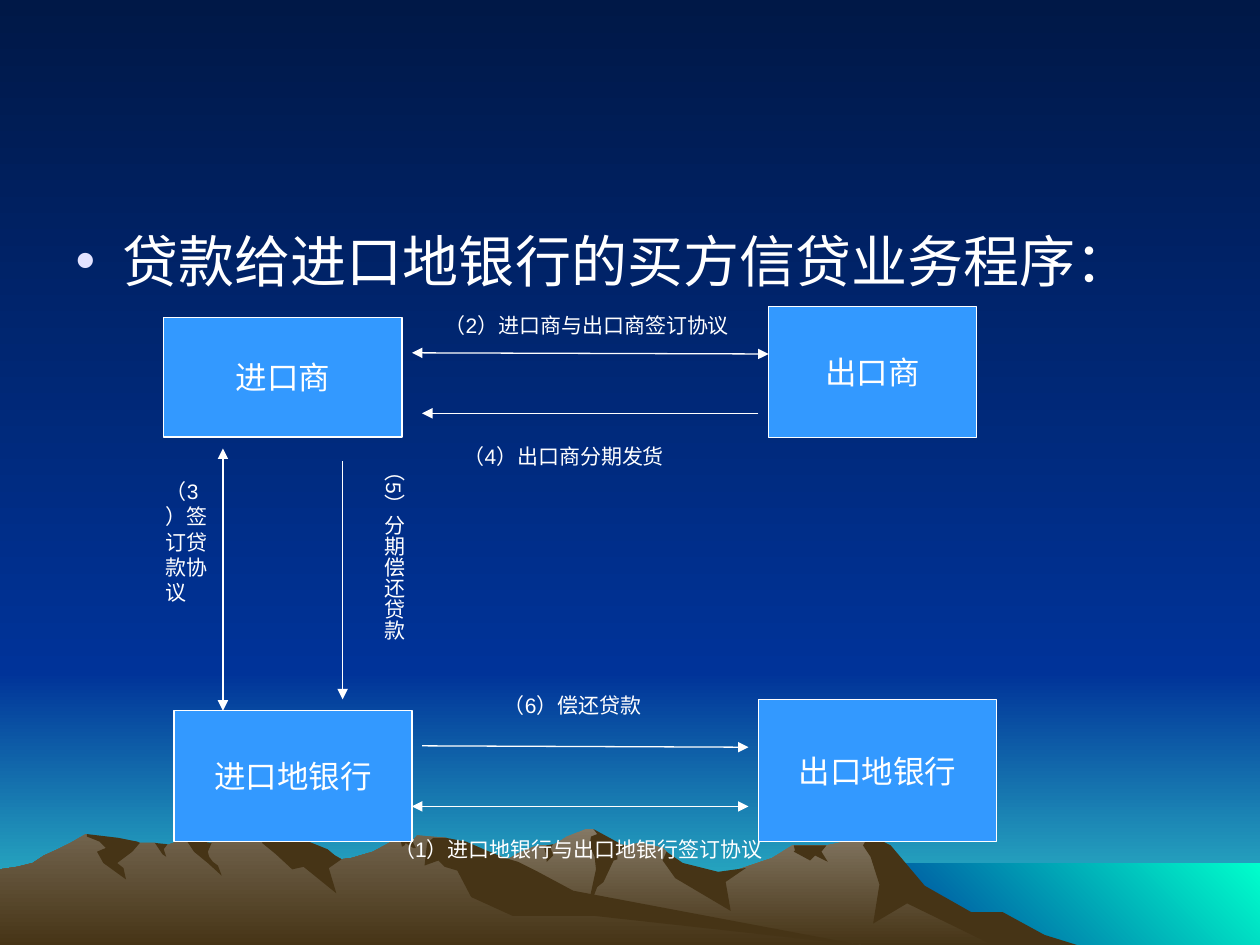
from lxml.etree import SubElement
from pptx import Presentation
from pptx.dml.color import RGBColor
from pptx.enum.shapes import MSO_CONNECTOR as Connector, MSO_SHAPE as Preset
from pptx.enum.text import MSO_ANCHOR as Anchor, MSO_AUTO_SIZE as AutoSize, PP_ALIGN as Align
from pptx.oxml.ns import qn
from pptx.util import Pt

WHITE = RGBColor(0xFF, 0xFF, 0xFF)
BOX_BLUE = RGBColor(0x33, 0x99, 0xFF)
BULLET = RGBColor(0xE3, 0xE3, 0xFF)
NIGHT = RGBColor(0x00, 0x18, 0x47)
SKY = RGBColor(0x00, 0x33, 0x99)
HORIZON = RGBColor(0x33, 0xCC, 0xCC)
SEA = RGBColor(0x00, 0xFF, 0xCC)
LIGHT_ROCK = RGBColor(0x84, 0x78, 0x64)
MID_ROCK = RGBColor(0x73, 0x65, 0x4F)
DARK_ROCK = RGBColor(0x46, 0x34, 0x16)

DOWN, UP_RIGHT = 270, 45
GRID = Pt(0.72)

BACKDROPS = [
    ((0, 384, 720, 156), (SKY, HORIZON), DOWN),
    ((0, 0, 720, 384), (NIGHT, SKY), DOWN),
    ((491.8, 493.2, 228.2, 48.2), (SKY, SEA), UP_RIGHT),
]

RIGHT_RIDGE = [
    (802, 740), (778, 727), (764, 723), (723, 698), (702, 671), (685, 660), (676, 667), (656, 671),
    (629, 671), (613, 681), (566, 697), (536, 690), (529, 676), (526, 673), (509, 669), (497, 671),
    (486, 673), (474, 661), (471, 658), (465, 658), (450, 664), (444, 668), (438, 671), (430, 671),
    (424, 672), (412, 677), (405, 681), (394, 685), (355, 698), (327, 709), (277, 739), (258, 751),
    (821, 751),
]
LEFT_RIDGE = [
    (690, 751), (667, 748), (432, 712), (354, 665), (331, 663), (327, 668), (323, 668), (318, 664),
    (296, 676), (279, 681), (271, 682), (260, 676), (236, 681), (223, 663), (219, 660), (212, 658),
    (197, 658), (191, 662), (178, 666), (160, 671), (148, 667), (143, 667), (132, 671), (128, 671),
    (123, 669), (111, 669), (94, 671), (68, 662), (56, 669), (46, 674), (35, 679), (26, 685),
    (14, 688), (0, 690), (0, 751),
]
RIGHT_SHADOWS = [
    [(796, 724), (771, 724), (734, 703), (707, 671), (685, 660), (689, 664), (685, 671), (691, 680),
     (698, 702), (693, 733), (720, 717), (792, 752), (858, 751), (829, 742)],
    [(471, 658), (474, 662), (469, 664), (468, 671), (472, 680), (473, 690), (465, 727), (474, 704),
     (479, 700), (487, 683), (490, 682), (490, 676), (497, 671), (493, 670)],
    [(529, 676), (526, 683), (536, 697), (580, 723), (576, 700), (592, 689), (570, 692), (542, 685)],
    [(650, 671), (630, 671), (631, 675), (630, 676), (643, 683), (647, 679), (657, 684), (652, 676),
     (656, 671)],
    [(433, 677), (432, 673), (434, 671), (439, 670), (437, 673), (439, 679), (434, 684)],
]
LEFT_SHADOWS = [
    [(212, 663), (208, 669), (219, 678), (232, 690), (241, 688), (267, 709), (261, 689), (271, 682),
     (266, 679), (260, 674), (245, 668), (232, 663), (226, 662), (213, 659)],
    [(370, 668), (354, 665), (344, 665), (339, 669), (337, 687), (348, 683), (353, 688), (363, 691),
     (374, 712), (407, 727), (472, 727), (690, 751), (683, 750), (455, 707), (427, 692), (411, 684),
     (401, 681), (386, 675)],
    [(318, 667), (320, 666), (318, 664), (323, 667), (327, 667), (330, 673), (328, 673), (322, 669),
     (321, 671), (319, 672)],
    [(154, 667), (168, 669), (165, 676), (166, 680), (169, 684), (173, 687), (176, 695), (165, 685),
     (154, 676), (148, 667)],
    [(133, 670), (130, 674), (132, 680), (129, 678), (123, 669)],
    [(109, 668), (111, 669), (105, 676), (93, 685), (98, 689), (100, 698), (82, 685), (77, 676),
     (84, 673), (79, 668), (69, 664), (69, 662), (94, 665)],
]

PARTIES = [
    ("进口商", (93.6, 181.4, 136.1, 68.4)),
    ("出口商", (439.2, 175, 118.8, 74.9)),
    ("进口地银行", (99.4, 406.1, 136.1, 74.9)),
    ("出口地银行", (433.4, 399.6, 136.1, 81.4)),
]
ARROWS = [
    ((433.4, 236.2, 241.2, 236.2), False),
    ((235.4, 201.6, 439.2, 202.3), True),
    ((195.8, 263.5, 195.8, 399.6), False),
    ((127.4, 256.3, 127.4, 406.1), True),
    ((241.2, 426.2, 427.7, 427), False),
    ((235.4, 460.8, 427.7, 460.8), True),
]
STEPS = [
    ("（1）进口地银行与出口地银行签订协议", (218.2, 474.5, 232.6, 21.6), False),
    ("（6）偿还贷款", (280.8, 392.4, 145.4, 21.6), False),
    ("（2）进口商与出口商签订协议", (247, 175, 185, 21.6), False),
    ("（4）出口商分期发货", (257.8, 249.8, 182.9, 21.6), False),
    ("（3）签订贷款协议", (87.8, 270, 38.2, 122.4), False),
    ("（5）分期偿还贷款", (207.4, 256.3, 28.8, 177.1), True),
]


def write_text(frame, text, *, size=12, color=WHITE, font="Arial", align=Align.LEFT,
               anchor=Anchor.TOP, wrap=True, margins=(7.2, 3.6)):
    """Put one formatted paragraph into a text frame and return it."""
    frame.word_wrap, frame.vertical_anchor = wrap, anchor
    frame.margin_left = frame.margin_right = Pt(margins[0])
    frame.margin_top = frame.margin_bottom = Pt(margins[1])
    paragraph = frame.paragraphs[0]
    paragraph.alignment = align
    run = paragraph.add_run()
    run.text = text
    run.font.size, run.font.name, run.font.color.rgb = Pt(size), font, color
    return paragraph


class SlideBuilder:
    def __init__(self, slide):
        self.slide, self.shapes = slide, slide.shapes
        self.line_color, self.line_width = WHITE, Pt(0.75)

    def gradient(self, fill, colors, angle=DOWN):
        fill.gradient()
        fill.gradient_angle = angle
        for stop, color in zip(fill.gradient_stops, colors):
            stop.color.rgb = color

    def rectangle(self, bounds):
        shape = self.shapes.add_shape(Preset.RECTANGLE, *map(Pt, bounds))
        shape.shadow.inherit = False
        return shape

    def backdrop(self, bounds, colors, angle):
        shape = self.rectangle(bounds)
        self.gradient(shape.fill, colors, angle)
        shape.line.fill.background()

    def rock(self, points, top_color=DARK_ROCK):
        builder = self.shapes.build_freeform(*points[0], scale=GRID)
        builder.add_line_segments(points[1:], close=True)
        shape = builder.convert_to_shape()
        shape.shadow.inherit = False
        shape.line.fill.background()
        if top_color == DARK_ROCK:
            shape.fill.solid()
            shape.fill.fore_color.rgb = DARK_ROCK
        else:
            self.gradient(shape.fill, (top_color, DARK_ROCK))

    def heading(self, text, bounds):
        self.shapes.title.element.getparent().remove(self.shapes.title.element)
        body = self.slide.placeholders[1]
        body.left, body.top, body.width, body.height = map(Pt, bounds)
        body.element.getparent().append(body.element)
        paragraph = write_text(body.text_frame, text, size=32)
        paragraph.space_before = Pt(8)
        properties = paragraph._p.get_or_add_pPr()
        properties.set("marL", str(Pt(27)))
        properties.set("indent", str(-Pt(27)))
        SubElement(SubElement(properties, qn("a:buClr")), qn("a:srgbClr"), val=str(BULLET))
        SubElement(properties, qn("a:buChar"), char="•")

    def party(self, text, bounds):
        shape = self.rectangle(bounds)
        shape.fill.solid()
        shape.fill.fore_color.rgb = BOX_BLUE
        shape.line.color.rgb, shape.line.width = self.line_color, self.line_width
        write_text(shape.text_frame, text, size=18, align=Align.CENTER, anchor=Anchor.MIDDLE, wrap=False)

    def arrow(self, ends, both_ways):
        connector = self.shapes.add_connector(Connector.STRAIGHT, *map(Pt, ends))
        connector.line.color.rgb, connector.line.width = self.line_color, self.line_width
        properties = connector.element.spPr
        for tag in ("a:headEnd", "a:tailEnd") if both_ways else ("a:tailEnd",):
            SubElement(properties.find(qn("a:ln")), qn(tag), type="triangle")
        SubElement(properties, qn("a:effectLst"))

    def step(self, text, bounds, vertical):
        frame = self.shapes.add_textbox(*map(Pt, bounds)).text_frame
        write_text(frame, text, margins=(3.6, 7.2) if vertical else (7.2, 3.6))
        frame.auto_size = AutoSize.SHAPE_TO_FIT_TEXT
        if vertical:
            frame._txBody.bodyPr.set("vert", "eaVert")


def main():
    """Build the buyer's credit procedure slide."""
    presentation = Presentation()
    presentation.slide_width, presentation.slide_height = Pt(720), Pt(540)
    builder = SlideBuilder(presentation.slides.add_slide(presentation.slide_layouts[1]))
    builder.gradient(builder.slide.background.fill, (NIGHT, SKY))
    for backdrop in BACKDROPS:
        builder.backdrop(*backdrop)
    for ridge, color, shadows in ((RIGHT_RIDGE, LIGHT_ROCK, RIGHT_SHADOWS), (LEFT_RIDGE, MID_ROCK, LEFT_SHADOWS)):
        builder.rock(ridge, color)
        for shadow in shadows:
            builder.rock(shadow)
    builder.heading("贷款给进口地银行的买方信贷业务程序：", (36, 126, 648, 354))
    for party in PARTIES:
        builder.party(*party)
    for arrow in ARROWS:
        builder.arrow(*arrow)
    for step in STEPS:
        builder.step(*step)
    presentation.save("out.pptx")


if __name__ == "__main__":
    main()
